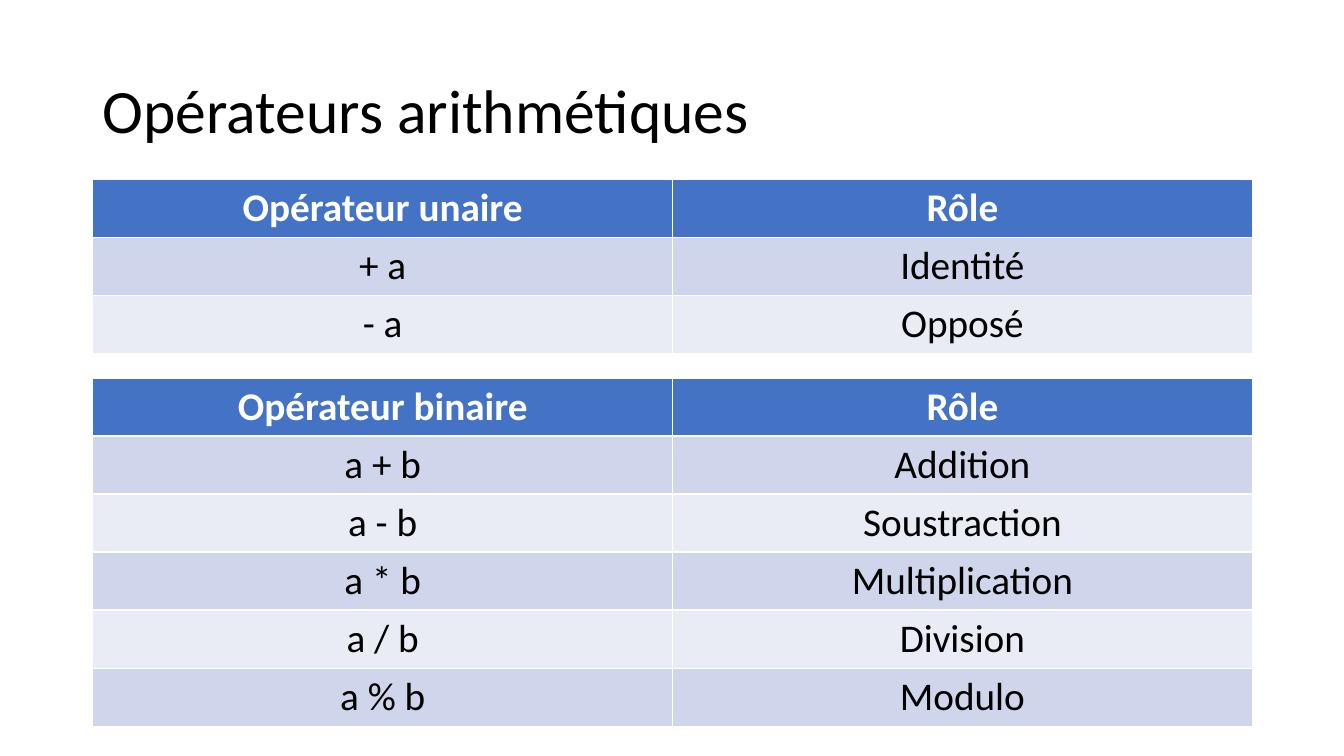
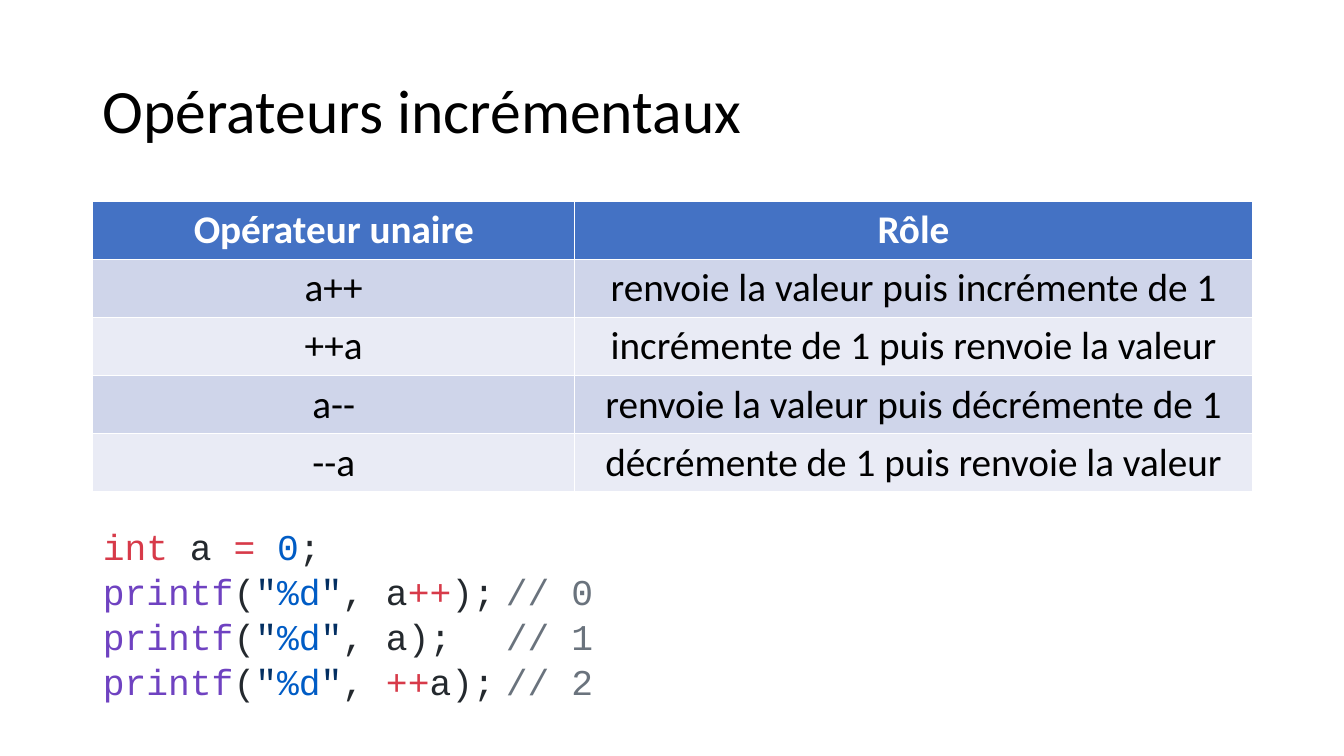
from pptx import Presentation
from pptx.dml.color import RGBColor
from pptx.enum.text import MSO_ANCHOR, MSO_AUTO_SIZE, PP_ALIGN
from pptx.oxml.ns import qn
from pptx.util import Inches, Pt
from lxml.etree import SubElement

# Content: each table has its top, column widths and rows
HALVES = (5.75, 5.75)
UNARY = [
    ("Opérateur unaire", "Rôle"),
    ("+ a", "Identité"),
    ("- a", "Opposé"),
]
BINARY = [
    ("Opérateur binaire", "Rôle"),
    ("a + b", "Addition"),
    ("a - b", "Soustraction"),
    ("a * b", "Multiplication"),
    ("a / b", "Division"),
    ("a % b", "Modulo"),
]
STEPS = [
    ("Opérateur unaire", "Rôle"),
    ("a++", "renvoie la valeur puis incrémente de 1"),
    ("++a", "incrémente de 1 puis renvoie la valeur"),
    ("a--", "renvoie la valeur puis décrémente de 1"),
    ("--a", "décrémente de 1 puis renvoie la valeur"),
]

# Code lines are lists of (text, kind)
PRINT = [("printf", "call"), ("(", "plain"), ('"', "quote"),
         ("%d", "value"), ('"', "quote")]
CODE = [
    [("int", "key"), (" a ", "plain"), ("= ", "key"), ("0", "value"),
     (";", "plain")],
    PRINT + [(", a", "plain"), ("++", "key"), (");", "plain")],
    PRINT + [(", a);", "plain")],
    PRINT + [(", ", "plain"), ("++", "key"), ("a);", "plain")],
]
NOTES = [[(note, "note")] for note in ("// 0", "// 1", "// 2")]

# Shared style
HEAD, BANDS = "4472C4", ("CFD5EA", "E9EBF5")
WHITE, BLACK = "FFFFFF", "000000"
SYNTAX = {"key": "D73A49", "plain": "24292E", "value": "005CC5",
          "call": "6F42C1", "quote": "032F62", "note": "6A737D"}
LEFT, WIDTH, ROW = 0.92, 11.5, 0.57
PITCH = 32  # points from one code line to the next
CODE_TOP = 5.14


def color(code):
    return RGBColor.from_string(code)


def put(para, text, size=28, font="Calibri", ink=BLACK, bold=False,
        align=PP_ALIGN.LEFT):
    para.alignment = align
    run = para.add_run()
    run.text = text
    run.font.size = Pt(size)
    run.font.name = font
    run.font.bold = bold
    run.font.color.rgb = color(ink)


def place(shape, left, top, width, height):
    shape.left, shape.top = Inches(left), Inches(top)
    shape.width, shape.height = Inches(width), Inches(height)


def add_slide(deck, layout, title):
    slide = deck.slides.add_slide(deck.slide_layouts[layout])
    head = slide.shapes.title
    place(head, LEFT, 0.4, WIDTH, 1.45)
    head.text_frame.vertical_anchor = MSO_ANCHOR.MIDDLE
    head.text_frame.auto_size = MSO_AUTO_SIZE.NONE
    para = head.text_frame.paragraphs[0]
    para.line_spacing = 0.9
    put(para, title, size=44)
    return slide


def add_grid(slide, top, widths, rows):
    frame = slide.shapes.add_table(
        len(rows), len(widths), Inches(LEFT), Inches(top),
        Inches(WIDTH), Inches(ROW * len(rows)))
    grid = frame.table
    for col, width in zip(grid.columns, widths):
        col.width = Inches(width)
    for i, row in enumerate(rows):
        grid.rows[i].height = Inches(ROW)
        for j, text in enumerate(row):
            cell = grid.cell(i, j)
            cell.fill.solid()
            cell.fill.fore_color.rgb = color(BANDS[(i - 1) % 2] if i else HEAD)
            put(cell.text_frame.paragraphs[0], text, bold=i == 0,
                ink=BLACK if i else WHITE, align=PP_ALIGN.CENTER)


def fill_code(box, lines):
    frame = box.text_frame
    frame.word_wrap = True
    frame.auto_size = MSO_AUTO_SIZE.NONE
    for i, line in enumerate(lines):
        para = frame.paragraphs[0] if i == 0 else frame.add_paragraph()
        para.line_spacing = Pt(PITCH)
        para.space_before = Pt(0)
        for text, kind in line:
            put(para, text, size=25.9, font="Courier New", ink=SYNTAX[kind])
        # No bullet, no indent
        props = para._p.get_or_add_pPr()
        props.set("marL", "0")
        props.set("indent", "0")
        SubElement(props, qn("a:buNone"))


def main():
    deck = Presentation()
    deck.slide_width, deck.slide_height = Inches(13.33), Inches(7.5)

    # Arithmetic operators
    slide = add_slide(deck, 5, "Opérateurs arithmétiques")
    add_grid(slide, 1.78, HALVES, UNARY)
    add_grid(slide, 3.75, HALVES, BINARY)

    # Increment operators, with code and its results beside it
    slide = add_slide(deck, 1, "Opérateurs incrémentaux")
    add_grid(slide, 2, (4.78, 6.72), STEPS)
    body = slide.placeholders[1]
    place(body, LEFT, CODE_TOP, 4.2, 1.9)
    fill_code(body, CODE)
    notes = slide.shapes.add_textbox(
        Inches(LEFT + 4), Inches(CODE_TOP) + Pt(PITCH), Inches(2), Inches(1.45))
    fill_code(notes, NOTES)

    deck.save("out.pptx")


if __name__ == "__main__":
    main()
